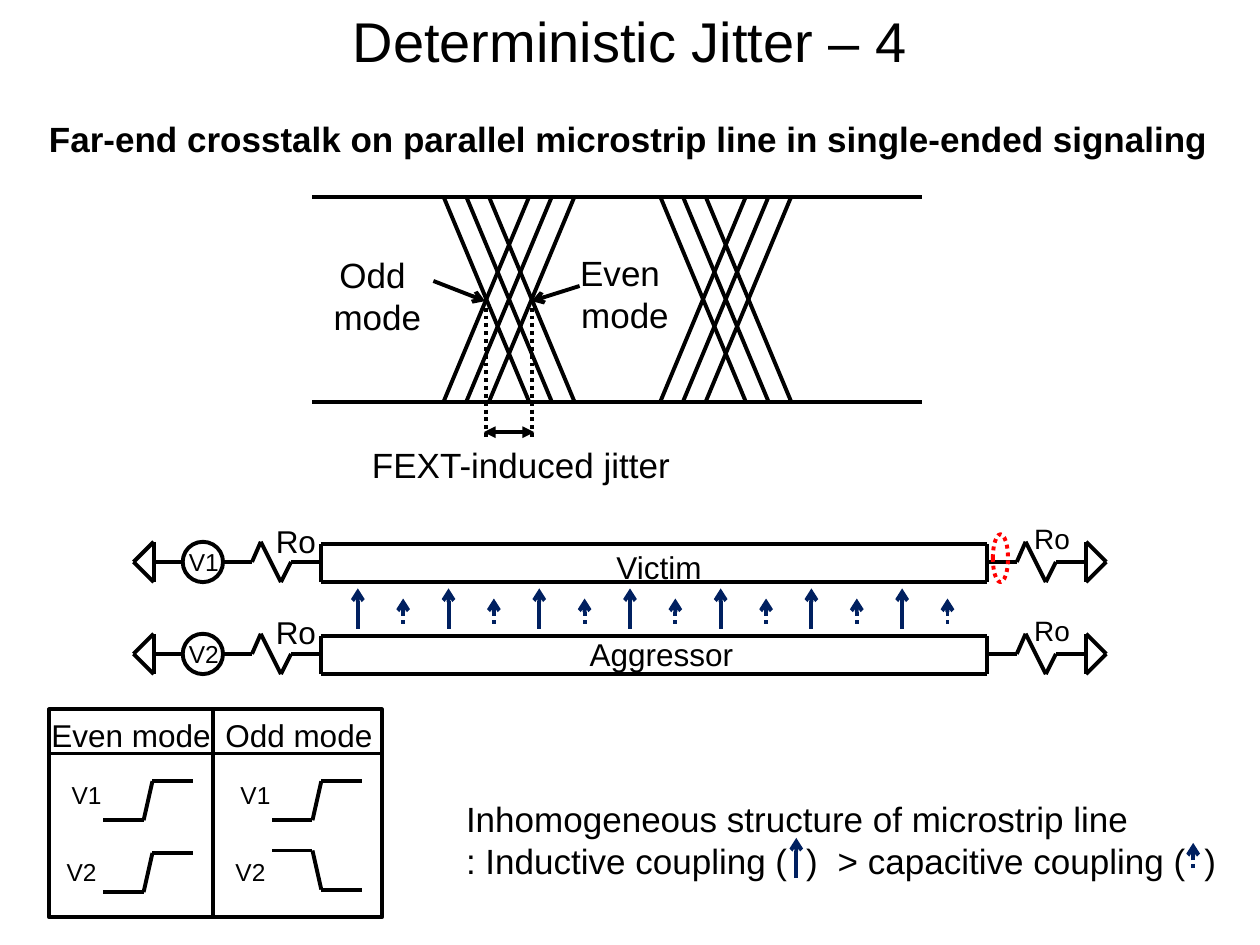
from dataclasses import dataclass
from itertools import pairwise

import pptx
import pptx.dml.color
import pptx.enum.dml
import pptx.enum.shapes
import pptx.enum.text
import pptx.oxml.ns
import pptx.util
from lxml import etree
from pptx.util import Inches

BLACK = pptx.dml.color.RGBColor(0x00, 0x00, 0x00)
NAVY = pptx.dml.color.RGBColor(0x00, 0x20, 0x60)
RED = pptx.dml.color.RGBColor(0xFF, 0x00, 0x00)
DOTTED = pptx.enum.dml.MSO_LINE.ROUND_DOT
ELLIPSE = pptx.enum.shapes.MSO_SHAPE.OVAL
RECTANGLE = pptx.enum.shapes.MSO_SHAPE.RECTANGLE
qn = pptx.oxml.ns.qn

Point = tuple[float, float]


@dataclass(frozen=True)
class Stroke:
    """Pen used for lines and outlines."""
    color: pptx.dml.color.RGBColor = BLACK
    dotted: bool = False
    head: str = ""
    tail: str = ""


@dataclass(frozen=True)
class Label:
    """Text box; each line of the text is a paragraph."""
    text: str
    left: float
    top: float
    width: float
    height: float
    size: int
    centered: bool = False
    bold: bool = False
    wrap: bool = True
    tabs: tuple[float, ...] = ()


SOLID = Stroke()
GUIDE = Stroke(dotted=True)
POINTER = Stroke(tail="arrow")
SPAN = Stroke(head="triangle", tail="triangle")
INDUCTIVE = Stroke(NAVY, tail="arrow")
CAPACITIVE = Stroke(NAVY, dotted=True, tail="arrow")

LABELS = [
    Label("Deterministic Jitter – 4", 0, 0, 10, 0.64, 32, centered=True),
    Label("Far-end crosstalk on parallel microstrip line in single-ended signaling",
          0.29, 0.88, 9.46, 0.44, 20, bold=True, wrap=False),
    Label("Odd \nmode", 2.52, 1.96, 0.95, 0.77, 20, centered=True),
    Label("Even \nmode", 4.44, 1.95, 1.04, 0.77, 20, centered=True),
    Label("FEXT-induced jitter", 2.56, 3.47, 3.15, 0.44, 20, centered=True),
    Label("Victim", 4.48, 4.3, 1.5, 0.4, 18, centered=True),
    Label("Aggressor", 4.5, 4.99, 1.5, 0.4, 18, centered=True),
    Label("Even mode", 0.31, 5.63, 1.5, 0.4, 18),
    Label("Odd mode", 1.69, 5.63, 1.4, 0.4, 18),
    Label("Inhomogeneous structure of microstrip line\n"
          ": Inductive coupling (\t)\t> capacitive coupling (\t)",
          3.6, 6.28, 6.35, 0.77, 20, tabs=(2.7, 2.95, 5.86)),
]


def apply_stroke(line, stroke: Stroke) -> None:
    line.color.rgb = stroke.color
    line.width = pptx.util.Pt(2.25)
    if stroke.dotted:
        line.dash_style = DOTTED


def draw_line(page, start: Point, end: Point, stroke: Stroke = SOLID) -> None:
    connector = page.shapes.add_connector(
        pptx.enum.shapes.MSO_CONNECTOR.STRAIGHT,
        *(Inches(value) for value in (*start, *end)))
    apply_stroke(connector.line, stroke)
    properties = connector._element.spPr
    outline = properties.find(qn("a:ln"))
    for tag, kind in (("a:headEnd", stroke.head), ("a:tailEnd", stroke.tail)):
        if kind:
            etree.SubElement(outline, qn(tag), type=kind)
    etree.SubElement(properties, qn("a:effectLst"))


def draw_route(page, *points: Point) -> None:
    for start, end in pairwise(points):
        draw_line(page, start, end)


def draw_outline(page, kind, left: float, top: float, width: float,
                 height: float, stroke: Stroke = SOLID) -> None:
    shape = page.shapes.add_shape(
        kind, Inches(left), Inches(top), Inches(width), Inches(height))
    shape.shadow.inherit = False
    shape.fill.background()
    apply_stroke(shape.line, stroke)


def draw_label(page, label: Label) -> None:
    box = page.shapes.add_textbox(Inches(label.left), Inches(label.top),
                                  Inches(label.width), Inches(label.height))
    frame = box.text_frame
    frame.word_wrap = label.wrap
    frame.auto_size = pptx.enum.text.MSO_AUTO_SIZE.SHAPE_TO_FIT_TEXT
    for index, text in enumerate(label.text.split("\n")):
        para = frame.add_paragraph() if index else frame.paragraphs[0]
        if label.centered:
            para.alignment = pptx.enum.text.PP_ALIGN.CENTER
        if "\t" in text:
            stops = etree.SubElement(para._p.get_or_add_pPr(), qn("a:tabLst"))
            for stop in label.tabs:
                etree.SubElement(stops, qn("a:tab"), pos=str(Inches(stop)), algn="l")
        span = para.add_run()
        span.text = text
        span.font.name = "Arial"
        span.font.size = pptx.util.Pt(label.size)
        span.font.bold = label.bold
        span.font.color.rgb = BLACK


def draw_eye_diagram(page) -> None:
    top, bottom = 1.56, 3.19
    for rail in (top, bottom):
        draw_line(page, (2.48, rail), (7.32, rail))
    for crossing in (3.52, 5.24):
        for offset in (0, 0.18, 0.36):
            left = crossing + offset
            right = left + 0.68
            draw_line(page, (left, top), (right, bottom))
            draw_line(page, (right, top), (left, bottom))
    draw_line(page, (3.44, 2.23), (3.85, 2.39), POINTER)
    draw_line(page, (4.6, 2.27), (4.22, 2.39), POINTER)
    for edge in (3.86, 4.22):
        draw_line(page, (edge, 2.38), (edge, 3.48), GUIDE)
    draw_line(page, (4.24, 3.43), (3.84, 3.43), SPAN)


def draw_resistor(page, left: float, middle: float) -> None:
    draw_route(page, (left, middle), (left + 0.24, middle),
               (left + 0.31, middle - 0.16), (left + 0.47, middle + 0.16),
               (left + 0.55, middle), (left + 0.79, middle))


def draw_ground(page, base: float, tip: float, middle: float) -> None:
    upper, lower = (base, middle - 0.16), (base, middle + 0.16)
    draw_route(page, upper, lower, (tip, middle), upper)


def draw_channel(page, source: str, middle: float) -> None:
    draw_ground(page, 1.22, 1.06, middle)
    draw_line(page, (1.22, middle), (1.45, middle))
    draw_outline(page, ELLIPSE, 1.45, middle - 0.16, 0.32, 0.32)
    draw_resistor(page, 1.76, middle)
    # Microstrip trace
    start, end, upper, lower = 2.55, 7.83, middle - 0.14, middle + 0.16
    draw_route(page, (start, upper), (end, upper), (end, lower),
               (start, lower), (start, upper))
    draw_resistor(page, end, middle)
    draw_ground(page, 8.62, 8.78, middle)
    draw_label(page, Label(source, 1.4, middle - 0.17, 0.55, 0.33, 14))
    draw_label(page, Label("Ro", 2.09, middle - 0.37, 0.55, 0.4, 18))
    draw_label(page, Label("Ro", 8.11, middle - 0.37, 0.55, 0.37, 16))


def draw_step(page, left: float, before: float, after: float) -> None:
    draw_route(page, (left, before), (left + 0.32, before),
               (left + 0.39, after), (left + 0.71, after))


def draw_mode_panel(page) -> None:
    draw_outline(page, RECTANGLE, 0.39, 5.63, 2.64, 1.65)
    draw_line(page, (0.39, 5.98), (3.03, 5.98))
    draw_line(page, (1.69, 5.63), (1.69, 7.28))
    for left, before, after in ((0.82, 7.08, 6.77), (2.16, 6.75, 7.06)):
        draw_step(page, left, 6.51, 6.2)
        draw_step(page, left, before, after)
        draw_label(page, Label("V1", left - 0.35, 6.14, 0.55, 0.33, 14))
        draw_label(page, Label("V2", left - 0.39, 6.75, 0.55, 0.33, 14))


def main() -> None:
    deck = pptx.Presentation()
    deck.slide_width, deck.slide_height = Inches(10), Inches(7.5)
    page = deck.slides.add_slide(deck.slide_layouts[6])

    draw_eye_diagram(page)

    # Coupled lines, with the far end of the victim marked
    draw_channel(page, "V1", 4.46)
    draw_channel(page, "V2", 5.19)
    draw_outline(page, ELLIPSE, 7.88, 4.24, 0.12, 0.38, Stroke(RED, dotted=True))
    for index in range(7):
        x = 2.84 + 0.72 * index
        draw_line(page, (x, 4.99), (x, 4.67), INDUCTIVE)
        draw_line(page, (x + 0.36, 4.95), (x + 0.36, 4.75), CAPACITIVE)

    draw_mode_panel(page)
    for label in LABELS:
        draw_label(page, label)

    # Arrows inside the brackets of the conclusion
    draw_line(page, (6.32, 6.97), (6.32, 6.65), INDUCTIVE)
    draw_line(page, (9.47, 6.89), (9.47, 6.69), CAPACITIVE)
    deck.save("out.pptx")


if __name__ == "__main__":
    main()
